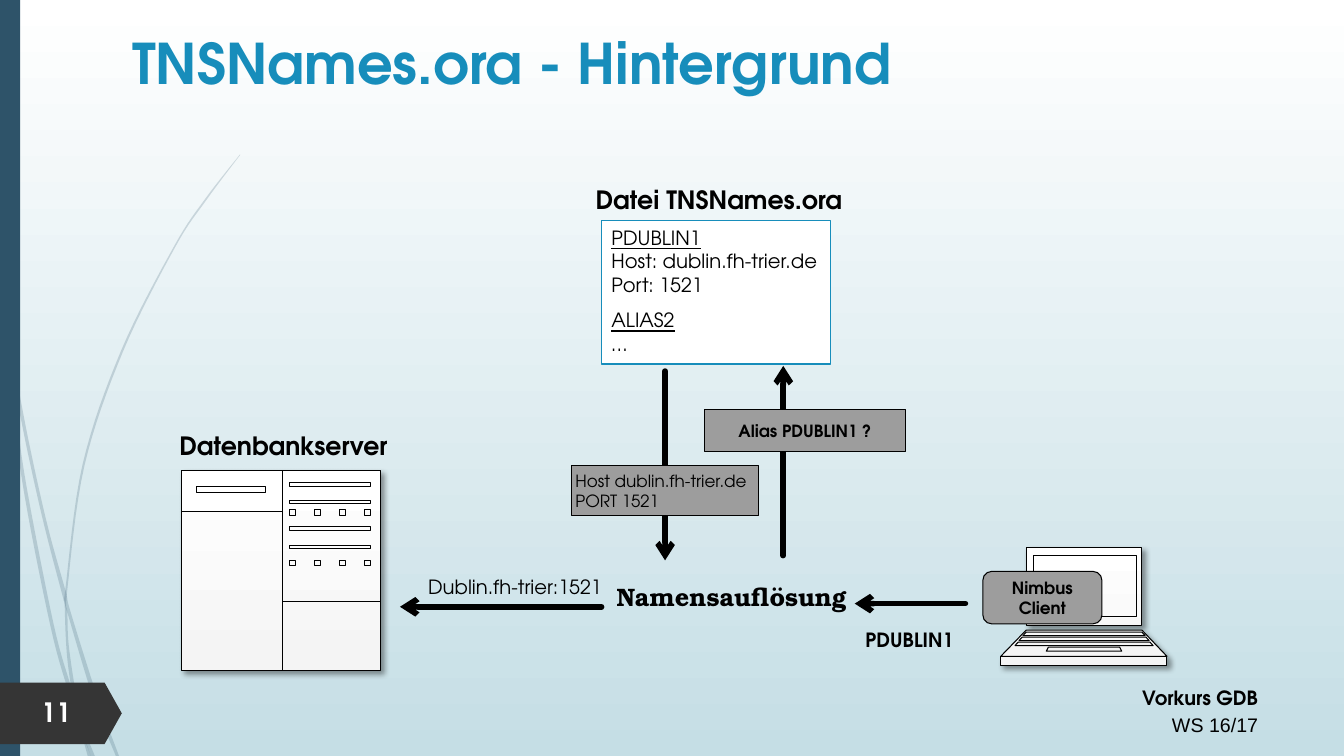
import pptx
import pptx.dml.color
import pptx.enum.shapes
import pptx.enum.text
import pptx.oxml
import pptx.oxml.ns
import pptx.util

Cm = pptx.util.Cm
Pt = pptx.util.Pt
SHAPES = pptx.enum.shapes.MSO_SHAPE
ALIGN = pptx.enum.text.PP_ALIGN
ANCHOR = pptx.enum.text.MSO_ANCHOR
SANS = "TeX Gyre Adventor"
BLACK, WHITE, GREY, BLUE, NAVY = "000000", "FFFFFF", "9D9D9D", "178DBB", "2E5369"

STRANDS = [
    ([(0, 7.16), (0.15, 8.18), (0.28, 8.76), (0.7, 11), (1.19, 13.21), (1.65, 14.88),
      (1.78, 15.42), (2.46, 17.58), (3, 19.05)],
     [(2.92, 19.05), (2.36, 17.63), (1.7, 15.44), (1.63, 15.21), (1.12, 13.26),
      (0.7, 11.4), (0.33, 9.55), (0.2, 8.89), (0, 7.59)]),
    ([(0.33, 9.55), (0.61, 11.91), (1.35, 15.72), (1.8, 17.35), (1.92, 17.96), (2.29, 19.05)],
     [(2.21, 19.05), (1.96, 18.14), (1.78, 17.6), (1.27, 15.77), (0.53, 11.94), (0.2, 8.89)]),
    ([(6.05, 3.89), (5.18, 5), (4.39, 6.2), (3.05, 8.84), (2.08, 11.71), (1.65, 14.83),
      (1.63, 15.21), (1.68, 16.41), (1.8, 17.35), (1.96, 18.14), (2.29, 19.05)],
     [(2.39, 19.05), (2.03, 18.06), (1.75, 16.41), (1.7, 15.49), (1.7, 14.83),
      (2.13, 11.73), (3.1, 8.86), (4.42, 6.22), (5.21, 5.03), (6.05, 3.91)]),
]


def rgb(code):
    """Turn a hex string into a colour."""
    return pptx.dml.color.RGBColor.from_string(code)


def xml(tag, attributes="", inner=""):
    """Build one drawing element."""
    namespace = pptx.oxml.ns.nsdecls("a")
    return pptx.oxml.parse_xml(f"<a:{tag} {namespace} {attributes}>{inner}</a:{tag}>")


def shade(fill, first, last, angle):
    """Apply a two-colour linear gradient."""
    fill.gradient()
    fill.gradient_angle = angle
    for stop, code in zip(fill.gradient_stops, (first, last)):
        stop.color.rgb = rgb(code)


def paint(shape, fill=None, line=None, width=0.75):
    """Set flat fill and outline without a shadow."""
    shape.shadow.inherit = False
    if fill:
        shape.fill.solid()
        shape.fill.fore_color.rgb = rgb(fill)
    else:
        shape.fill.background()
    if line:
        shape.line.color.rgb = rgb(line)
        shape.line.width = Pt(width)
    else:
        shape.line.fill.background()


def write(shape, text, size, color=BLACK, bold=False, align=ALIGN.LEFT, font=SANS):
    """Fill a shape with uniformly formatted text."""
    frame = shape.text_frame
    frame.text = text
    frame.word_wrap = True
    frame.vertical_anchor = ANCHOR.TOP
    for paragraph in frame.paragraphs:
        paragraph.alignment = align
        for run in paragraph.runs:
            run.font.name, run.font.size, run.font.bold = font, Pt(size), bold
            run.font.color.rgb = rgb(color)
    return frame


def label(slide, box, text, size, **style):
    """Add a plain text box."""
    return write(slide.shapes.add_textbox(*map(Cm, box)), text, size, **style)


def block(slide, box, fill, line=None, kind=SHAPES.RECTANGLE, width=0.75):
    """Add a filled preset shape."""
    shape = slide.shapes.add_shape(kind, *map(Cm, box))
    paint(shape, fill, line, width)
    return shape


def message(slide, box, text, kind=SHAPES.RECTANGLE, **style):
    """Add a grey box with a vertically centred message."""
    frame = write(block(slide, box, GREY, BLACK, kind), text, 12, **style)
    frame.vertical_anchor = ANCHOR.MIDDLE
    frame.margin_left = frame.margin_right = Cm(0.1)


def arrow(slide, x1, y1, x2, y2):
    """Add a thick black arrow."""
    connector = slide.shapes.add_connector(
        pptx.enum.shapes.MSO_CONNECTOR.STRAIGHT, Cm(x1), Cm(y1), Cm(x2), Cm(y2))
    connector.line.color.rgb = rgb(BLACK)
    connector.line.width = Pt(4)
    outline = connector.line._get_or_add_ln()
    outline.set("cap", "rnd")
    outline.append(xml("tailEnd", 'type="arrow"'))
    connector._element.spPr.append(xml("effectLst"))


def freeform(slide, contours):
    """Build one shape from several point lists."""
    contours = [[(Cm(x), Cm(y)) for x, y in contour] for contour in contours]
    builder = slide.shapes.build_freeform(*contours[0][0])
    for contour in contours:
        builder.move_to(*contour[0])
        builder.add_line_segments(contour[1:], close=False)
    return builder.convert_to_shape()


def rectangle(left, top, right, bottom):
    """List the corners of a closed rectangle."""
    return trapezoid(top, left, right, bottom, left, right)


def trapezoid(top, top_left, top_right, bottom, bottom_left, bottom_right):
    """List the corners of a closed trapezoid."""
    return [(top_left, top), (top_right, top), (bottom_right, bottom),
            (bottom_left, bottom), (top_left, top)]


def device(slide, housing, details):
    """Draw a shaded housing with a shadow and its details on top."""
    body = freeform(slide, housing)
    paint(body, WHITE, BLACK)
    shade(body.fill, "F4F4F4", WHITE, 90)
    color = f'<a:srgbClr val="{BLACK}"><a:alpha val="40000"/></a:srgbClr>'
    shadow = f'blurRad="{Pt(4)}" dist="{Pt(3)}" dir="2700000" algn="tl" rotWithShape="0"'
    effects = body._element.spPr.find(pptx.oxml.ns.qn("a:effectLst"))
    effects.append(xml("outerShdw", shadow, color))
    paint(freeform(slide, details), None, BLACK)


def server(slide):
    """Draw the database server."""
    details = [rectangle(4.95, 12.27, 6.68, 12.42),
               [(4.57, 12.88), (7.11, 12.88), (7.11, 15.16), (9.6, 15.16)],
               [(7.11, 11.86), (7.11, 16.89)]]
    details += [rectangle(7.29, y, 9.35, y + 0.08) for y in (12.17, 12.62, 13.28, 13.74)]
    details += [rectangle(x, y, x + 0.16, y + 0.14)
                for y in (12.85, 14.12) for x in (7.29 + 0.63 * i for i in range(4))]
    device(slide, [rectangle(4.57, 11.86, 9.6, 16.89)], details)


def laptop(slide):
    """Draw the client laptop."""
    housing = [rectangle(25.86, 13.79, 28.78, 15.77),
               trapezoid(15.88, 25.86, 28.78, 16.54, 25.22, 29.41),
               rectangle(25.22, 16.54, 29.41, 16.76)]
    details = [rectangle(26.04, 14, 28.63, 15.54),
               trapezoid(16.31, 26.42, 28.22, 16.41, 26.37, 28.27)]
    for row in range(3):
        top, left, right = 15.93 + 0.125 * row, 25.86 - 0.1 * row, 28.78 + 0.1 * row
        details.append(trapezoid(top, left, right, top + 0.09, left - 0.08, right + 0.08))
    device(slide, housing, details)


def smooth(points, steps=8):
    """Interpolate a smooth curve through the points."""
    padded = [points[0], *points, points[-1]]
    curve = []
    for a, b, c, d in zip(padded, padded[1:], padded[2:], padded[3:]):
        for t in (step / steps for step in range(steps)):
            curve.append(tuple(
                q + t * ((r - p) + t * ((2 * p - 5 * q + 4 * r - s)
                                        + t * (3 * q - p - 3 * r + s))) / 2
                for p, q, r, s in zip(a, b, c, d)))
    return curve + [points[-1]]


def backdrop(slide):
    """Draw the background, the curved strands and the side bar."""
    shade(slide.background.fill, WHITE, "C5DEE5", 270)
    for outward, back in STRANDS:
        strand = freeform(slide, [smooth(outward) + smooth(back) + outward[:1]])
        paint(strand, NAVY)
        color = strand._element.spPr.find(".//" + pptx.oxml.ns.qn("a:srgbClr"))
        color.append(xml("alpha", 'val="20000"'))
    block(slide, (0, 0, 0.51, 19.05), NAVY)


def footer(slide):
    """Add the course name and the page number."""
    course = label(slide, (18.75, 17.07, 13.21, 1.63), "Vorkurs GDB\nWS 16/17", 14,
                   bold=True, align=ALIGN.RIGHT)
    for paragraph in course.paragraphs:
        paragraph.line_spacing = 1.14
    term = course.paragraphs[1].runs[0].font
    term.name, term.bold = "Arial", False
    page_tag = block(slide, (0, 17.2, 3.07, 1.55), "353535", kind=SHAPES.PENTAGON)
    page_tag.adjustments[0] = 0.28
    label(slide, (0.79, 17.42, 1.78, 1.07), "11", 19, color=WHITE, bold=True)


def names_file(slide):
    """Add the box with the contents of the names file."""
    content = "PDUBLIN1\nHost: dublin.fh-trier.de\nPort: 1521\nALIAS2\n…"
    box = block(slide, (15.16, 5.56, 5.77, 3.61), WHITE, BLUE, width=1.25)
    lines = write(box, content, 14).paragraphs
    for alias in (lines[0], lines[3]):
        alias.runs[0].font.underline = True
    lines[3].space_before = Pt(8.5)


def main():
    """Build and save the slide."""
    deck = pptx.Presentation()
    deck.slide_width, deck.slide_height = Cm(33.87), Cm(19.05)
    slide = deck.slides.add_slide(deck.slide_layouts[5])
    backdrop(slide)
    footer(slide)
    title = slide.shapes.title
    title.left, title.top, title.width, title.height = map(Cm, (1.47, 0.58, 22.86, 2.31))
    write(title, "TNSNames.ora - Hintergrund", 40, color=BLUE, bold=True, align=ALIGN.CENTER)

    laptop(slide)
    server(slide)
    label(slide, (4.27, 10.72, 5.84, 1.02), "Datenbankserver", 18, bold=True)
    message(slide, (24.77, 14.4, 3, 1.32), "Nimbus Client", SHAPES.ROUNDED_RECTANGLE,
            bold=True, align=ALIGN.CENTER)
    label(slide, (14.76, 4.52, 7.52, 1.02), "Datei TNSNames.ora", 18, bold=True)
    label(slide, (21.56, 15.7, 5.77, 0.86), "PDUBLIN1", 14, bold=True)
    for ends in ((24.33, 15.21, 21.54, 15.21), (19.74, 14, 19.74, 9.22),
                 (16.76, 9.35, 16.76, 14.12), (15.16, 15.29, 10.08, 15.29)):
        arrow(slide, *ends)
    message(slide, (17.75, 10.31, 5.08, 1.07), "Alias PDUBLIN1 ?",
            bold=True, align=ALIGN.CENTER)
    message(slide, (14.4, 11.73, 4.72, 1.27), "Host dublin.fh-trier.de\nPORT 1521")
    names_file(slide)
    label(slide, (10.54, 14.35, 5.77, 0.86), "Dublin.fh-trier:1521", 14)
    label(slide, (15.29, 14.53, 7.52, 1.02), "Namensauflösung", 18, bold=True,
          font="TeX Gyre Bonum")
    deck.save("out.pptx")


if __name__ == "__main__":
    main()
